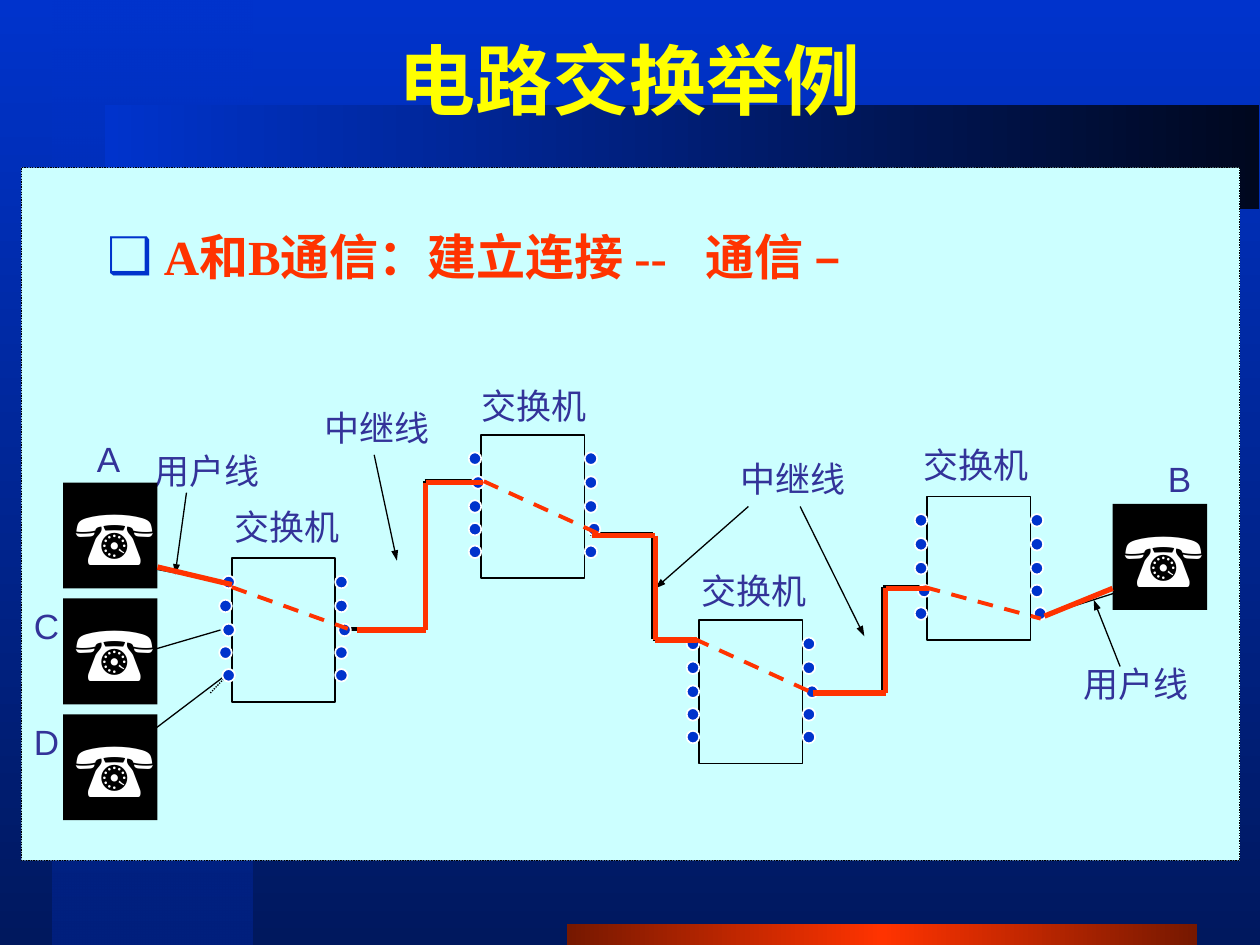
"""Build the circuit switching example slide on a grid of 100 columns by 75 rows."""
from itertools import pairwise

from lxml.etree import SubElement
from pptx import Presentation
from pptx.dml.color import RGBColor
from pptx.enum.dml import MSO_LINE
from pptx.enum.shapes import MSO_CONNECTOR, MSO_SHAPE
from pptx.enum.text import MSO_ANCHOR, MSO_AUTO_SIZE, PP_ALIGN
from pptx.oxml.ns import qn
from pptx.util import Inches, Pt

COLORS = {
    "blue": "0033CC", "navy": "00185E", "column": "00207E", "night": "00081F",
    "rust": "761800", "red": "FF3300", "panel": "CCFFFF", "black": "000000",
    "white": "FFFFFF", "label": "333399", "yellow": "FFFF00",
}
CELL = Inches(0.1)
COLUMNS, ROWS = 100, 75
CJK, SERIF, SANS = "Noto Sans CJK SC", "Times New Roman", "Arial"

TITLE = "电路交换举例"
HEADING = [(" ", CJK, 24, False), ("A和B通信：建立连接 --", SERIF, 28, True)]
HEADING_END = "通信 –"

BACKDROP = [(0, "blue", 100), (100, "navy", 100)]
BANDS = [
    ((4.2, 0, 15.8, ROWS), [(0, "blue", 50), (100, "column", 100)], 90),
    ((45, 73.3, 50, 1.7), [(0, "rust", 100), (50, "red", 100), (100, "rust", 100)], 0),
    ((8.3, 8.3, 91.6, 8.3), [(0, "blue", 100), (100, "night", 100)], 0),
]
PANEL = (1.7, 13.3, 96.7, 55)

SWITCH_SIZE = (8.2, 11.4)
PORT_ROWS = [1.4, 3.3, 5.2, 7, 8.8]
PORT_SIZE = 1
SWITCHES = [
    {"at": (18.4, 44.3), "used": ({0, 2, 4}, {2})},
    {"at": (38.2, 34.5), "used": ({1}, {3})},
    {"at": (55.5, 49.2), "used": (set(), {2})},
    {"at": (73.6, 39.4), "used": ({3}, {4})},
]
PHONE_SIZE = (7.5, 8.4)
PHONES = [(5, 38.3), (88.3, 40), (5, 47.5), (5, 56.7)]

LABELS = [
    ("交换机", 17.6, 39.6), ("交换机", 37.2, 30), ("交换机", 54.7, 44.7),
    ("交换机", 72.3, 34.7), ("用户线", 11.3, 35.2), ("用户线", 85, 52.1),
    ("中继线", 57.8, 35.8), ("中继线", 24.8, 31.8),
    ("A", 6.7, 34.2), ("B", 91.7, 35.8), ("C", 1.7, 47.5), ("D", 1.7, 56.7),
]

SUBSCRIBER_LINES = [
    [(11.7, 51.7), (17.5, 50)], [(11.7, 58.3), (18.3, 53.3)],
    [(82.7, 48.9), (92.8, 45.7)], [(8.9, 44.5), (18.2, 46.3)],
]
SPARE_LINE = [[(16.7, 55), (18.3, 53.3)]]
POINTERS = [
    [(14.8, 39.1), (13.9, 45.6)], [(59.4, 40.2), (52, 46.7)],
    [(63.5, 40.2), (68.6, 50.5)], [(29.7, 36.1), (31.5, 44.5)],
    [(88.9, 52.9), (86.8, 47.6)],
]
TRUNKS = [
    [(27.6, 49.9), (33.7, 49.9), (33.7, 38.2), (37.6, 38.2)],
    [(46.8, 42.4), (51.8, 42.4), (51.8, 50.7), (55.1, 50.7)],
    [(64.3, 54.9), (70.1, 54.9), (70.1, 46.6), (73.4, 46.6)],
]
CALL_INSIDE = [
    [(18.4, 46.6), (27.6, 49.9)], [(38.4, 38.2), (47.6, 42.4)],
    [(55.1, 50.7), (64.3, 54.9)], [(73.4, 46.6), (82.6, 49.1)],
]
CALL_OUTSIDE = [
    [(82.9, 48.9), (88.3, 46.7)], [(12.5, 45), (18.4, 46.4)],
    [(28.3, 50), (33.8, 50), (33.8, 38.3), (38.3, 38.3)],
    [(47, 42.5), (52, 42.5), (52, 50.8), (55.3, 50.8)],
    [(64.5, 55), (70.3, 55), (70.3, 46.7), (73.7, 46.7)],
]


def rgb(color):
    return RGBColor.from_string(COLORS[color])


def grid(*cells):
    return [round(cell * CELL) for cell in cells]


def set_all(target, formats):
    for name, value in formats.items():
        setattr(target, name, value)


def set_line(line, color, width, dash=None):
    line.color.rgb = rgb(color)
    set_all(line, {"width": Pt(width), "dash_style": dash})


def set_gradient(fill, owner, stops, angle):
    fill.gradient()
    gradient = next(owner.iter(qn("a:gradFill")))
    stop_list = gradient.find(qn("a:gsLst"))
    for old_stop in list(stop_list):
        stop_list.remove(old_stop)
    for position, color, opacity in stops:
        stop = SubElement(stop_list, qn("a:gs"), pos=str(position * 1000))
        tone = SubElement(stop, qn("a:srgbClr"), val=COLORS[color])
        if opacity < 100:
            SubElement(tone, qn("a:alpha"), val=str(opacity * 1000))
    gradient.find(qn("a:lin")).set("ang", str(angle * 60000))


def add_block(shapes, box, fill=None, line=None, preset=MSO_SHAPE.RECTANGLE):
    block = shapes.add_shape(preset, *grid(*box))
    block.shadow.inherit = False
    if fill:
        block.fill.solid()
        block.fill.fore_color.rgb = rgb(fill)
    else:
        block.fill.background()
    if line:
        set_line(block.line, *line)
    else:
        block.line.fill.background()
    return block


def add_routes(shapes, routes, color, width, dash=None, arrow=False):
    for start, end in (leg for route in routes for leg in pairwise(route)):
        leg = shapes.add_connector(MSO_CONNECTOR.STRAIGHT, *grid(*start, *end))
        set_line(leg.line, color, width, dash)
        if arrow:
            SubElement(leg.line._get_or_add_ln(), qn("a:tailEnd"), type="triangle", w="sm")
        SubElement(leg._element.spPr, qn("a:effectLst"))


def add_run(paragraph, text, face, size, color, bold=False):
    run = paragraph.add_run()
    run.text = text
    set_all(run.font, {"name": face, "size": Pt(size), "bold": bold})
    run.font.color.rgb = rgb(color)
    SubElement(run.font._element, qn("a:ea"), typeface=CJK)


def add_label(shapes, box, text, face, size, color, bold=False):
    frame = shapes.add_textbox(*grid(*box)).text_frame
    set_all(frame, {"word_wrap": True, "auto_size": MSO_AUTO_SIZE.NONE})
    add_run(frame.paragraphs[0], text, face, size, color, bold)


def place(placeholder, box, anchor):
    set_all(placeholder, dict(zip(("left", "top", "width", "height"), grid(*box))))
    set_all(placeholder.text_frame, {"vertical_anchor": anchor, "auto_size": MSO_AUTO_SIZE.NONE})
    return placeholder.text_frame.paragraphs[0]


def add_switch(shapes, at, used):
    left, top = at
    add_block(shapes, (*at, *SWITCH_SIZE), line=("black", 1))
    for side, port_left in enumerate((left - PORT_SIZE, left + SWITCH_SIZE[0])):
        for row, drop in enumerate(PORT_ROWS):
            shift = 0.25 if row in used[side] else 0
            add_block(shapes, (port_left + shift, top + drop, PORT_SIZE, PORT_SIZE),
                      "blue", ("white", 1), MSO_SHAPE.OVAL)


def main():
    deck = Presentation()
    set_all(deck, {"slide_width": COLUMNS * CELL, "slide_height": ROWS * CELL})
    slide = deck.slides.add_slide(deck.slide_layouts[1])
    shapes = slide.shapes
    title, body = shapes.title, slide.placeholders[1]

    set_gradient(slide.background.fill, slide._element, BACKDROP, 90)
    for box, stops, angle in BANDS:
        band = add_block(shapes, box)
        set_gradient(band.fill, band._element, stops, angle)
    add_block(shapes, PANEL, "panel", ("black", 0.75, MSO_LINE.ROUND_DOT))

    add_routes(shapes, SUBSCRIBER_LINES, "black", 0.75)
    add_routes(shapes, SPARE_LINE, "black", 0.75, MSO_LINE.ROUND_DOT)
    add_routes(shapes, POINTERS, "black", 0.75, arrow=True)
    add_routes(shapes, TRUNKS, "black", 2.25)
    for switch in SWITCHES:
        add_switch(shapes, **switch)
    for text, left, top in LABELS:
        wide = len(text) > 1
        add_label(shapes, (left, top, 11 if wide else 4, 4.4), text,
                  SERIF if wide else SANS, 20, "label")
    for at in PHONES:
        frame = add_block(shapes, (*at, *PHONE_SIZE), "black").text_frame
        set_all(frame, {"word_wrap": True, "vertical_anchor": MSO_ANCHOR.TOP})
        frame.paragraphs[0].alignment = PP_ALIGN.LEFT
        add_run(frame.paragraphs[0], "☎", SANS, 44, "white")

    add_routes(shapes, CALL_INSIDE, "red", 2.25, MSO_LINE.DASH)
    add_routes(shapes, CALL_OUTSIDE, "red", 3)

    for placeholder in (title, body):
        shapes._spTree.append(placeholder._element)
    headline = place(title, (0, 0, COLUMNS, 12.5), MSO_ANCHOR.MIDDLE)
    headline.alignment = PP_ALIGN.CENTER
    add_run(headline, TITLE, CJK, 44, "yellow", True)

    heading = place(body, (7.5, 17.5, 85, 5.8), MSO_ANCHOR.TOP)
    heading.space_before = Pt(0)
    bullet = heading._p.get_or_add_pPr()
    for name, value in {"marL": 3.75, "indent": -3.75}.items():
        bullet.set(name, str(round(value * CELL)))
    SubElement(SubElement(bullet, qn("a:buClr")), qn("a:srgbClr"), val=COLORS["blue"])
    SubElement(bullet, qn("a:buSzPct"), val="120000")
    SubElement(bullet, qn("a:buChar"), char="❑")
    for text, face, size, bold in HEADING:
        add_run(heading, text, face, size, "red", bold)
    add_label(shapes, (55, 17.5, 14, 5.7), HEADING_END, SERIF, 28, "red", True)

    deck.save("out.pptx")


if __name__ == "__main__":
    main()
